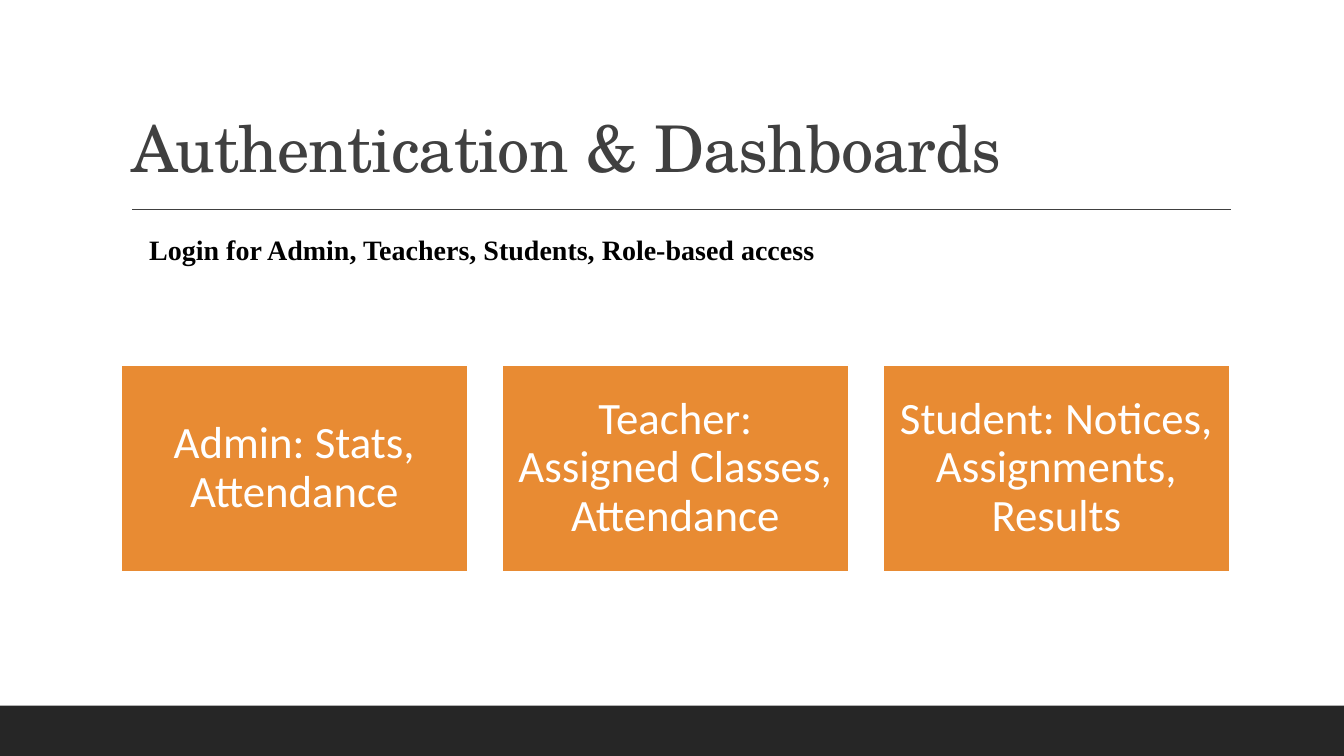
import pptx
import pptx.util
import pptx.dml.color
import pptx.enum.shapes
import pptx.enum.text
import pptx.oxml.ns
from lxml import etree

Cm = pptx.util.Cm
Pt = pptx.util.Pt
ANCHOR = pptx.enum.text.MSO_ANCHOR
ALIGN = pptx.enum.text.PP_ALIGN
RECTANGLE = pptx.enum.shapes.MSO_SHAPE.RECTANGLE

COLORS = {
    "bar": "262626",
    "title": "404040",
    "card": "E88B33",
    "white": "FFFFFF",
    "black": "000000",
}

FONTS = {
    "title": {"name": "TeX Gyre Schola", "size": Pt(46), "bold": False},
    "access": {"name": "Times New Roman", "size": Pt(20), "bold": True},
    "card": {"name": "Calibri", "size": Pt(32), "bold": False},
}

ROLES = [
    "Admin: Stats, Attendance",
    "Teacher: Assigned Classes, Attendance",
    "Student: Notices, Assignments, Results",
]


def rgb(name):
    return pptx.dml.color.RGBColor.from_string(COLORS[name])


def apply(target, values):
    for attribute, value in values.items():
        setattr(target, attribute, value)


def write(shape, text, style, color, frame_format, paragraph_format):
    """Put one formatted paragraph into a shape."""
    frame = shape.text_frame
    apply(frame, {"word_wrap": True, **frame_format})
    paragraph = frame.paragraphs[0]
    apply(paragraph, paragraph_format)
    run = paragraph.add_run()
    run.text = text
    apply(run.font, FONTS[style])
    run.font.color.rgb = rgb(color)


def add_block(slide, box, fill):
    left, top, width, height = box
    block = slide.shapes.add_shape(
        RECTANGLE, Cm(left), Cm(top), Cm(width), Cm(height))
    block.shadow.inherit = False
    block.fill.solid()
    block.fill.fore_color.rgb = rgb(fill)
    block.line.fill.background()
    return block


def add_heading(slide, box):
    """Title with a rule below it."""
    left, top, width, height = box
    heading = slide.shapes.title
    apply(heading, {"left": Cm(left), "top": Cm(top),
                    "width": Cm(width), "height": Cm(height)})
    write(heading, "Authentication & Dashboards", "title", "title",
          {"vertical_anchor": ANCHOR.BOTTOM,
           "auto_size": pptx.enum.text.MSO_AUTO_SIZE.NONE},
          {"alignment": ALIGN.LEFT, "line_spacing": 0.9})
    # Slightly tightened letter spacing
    for properties in heading.element.iter(pptx.oxml.ns.qn("a:rPr")):
        properties.set("spc", "-50")

    rule_y = Cm(top + height + 0.45)
    rule = slide.shapes.add_connector(
        pptx.enum.shapes.MSO_CONNECTOR.STRAIGHT,
        Cm(left + 0.28), rule_y, Cm(left + width + 0.02), rule_y)
    rule.line.color.rgb = rgb("title")
    rule.line.width = Pt(1)
    etree.SubElement(rule.element.spPr, pptx.oxml.ns.qn("a:effectLst"))


def add_access_note(slide, box):
    note = slide.shapes.add_textbox(*(Cm(length) for length in box))
    write(note, "Login for Admin, Teachers, Students, Role-based access",
          "access", "black", {}, {"alignment": ALIGN.LEFT})


def add_role_cards(slide, box, gap):
    """One equal card per role, side by side."""
    left, top, width, height = box
    card_width = (width - gap * (len(ROLES) - 1)) / len(ROLES)
    inset = Cm(0.34)
    for index, role in enumerate(ROLES):
        card_left = left + index * (card_width + gap)
        card = add_block(slide, (card_left, top, card_width, height), "card")
        card.line.color.rgb = rgb("white")
        card.line.width = Pt(1.25)
        write(card, role, "card", "white",
              {"vertical_anchor": ANCHOR.MIDDLE,
               "margin_left": inset, "margin_right": inset,
               "margin_top": inset, "margin_bottom": inset},
              {"alignment": ALIGN.CENTER, "line_spacing": 0.9})


def main():
    deck = pptx.Presentation()
    deck.slide_width, deck.slide_height = Cm(33.87), Cm(19.05)
    slide = deck.slides.add_slide(deck.slide_layouts.get_by_name("Title Only"))

    # Footer bar
    add_block(slide, (0, 17.78, 33.87, 1.27), "bar")
    add_heading(slide, (3.05, 0.79, 27.94, 4.04))
    add_access_note(slide, (3.51, 5.74, 27.05, 1.12))
    add_role_cards(slide, (3.05, 9.19, 27.94, 5.23), gap=0.87)

    deck.save("out.pptx")


if __name__ == "__main__":
    main()
